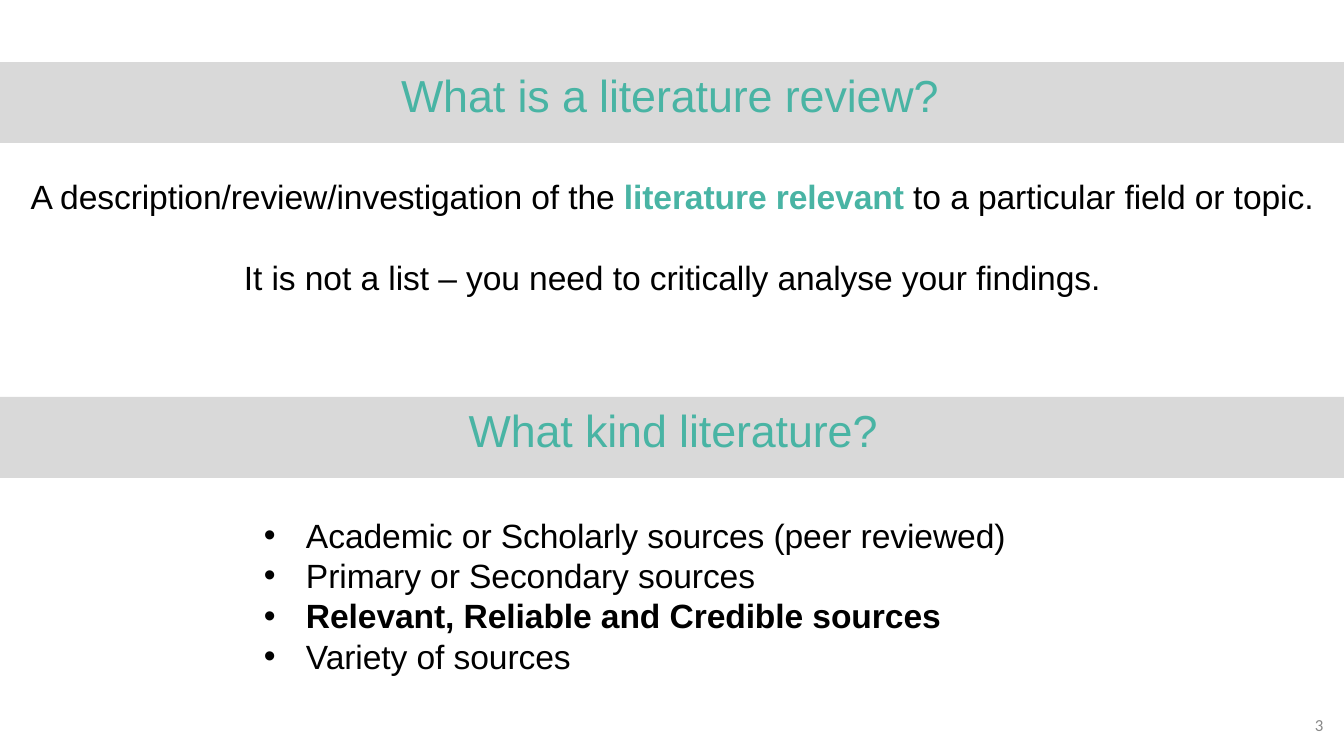
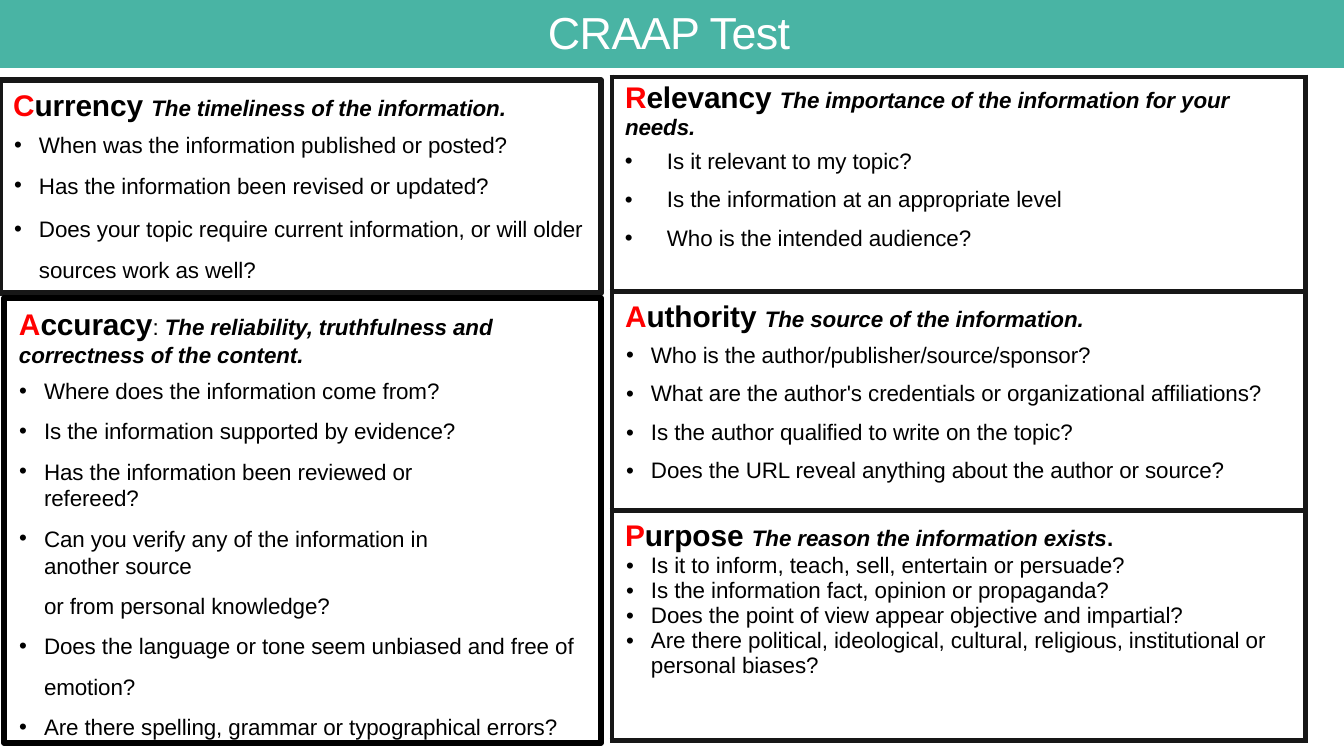
from dataclasses import dataclass, replace
from lxml import etree
from pptx import Presentation
from pptx import util as u
from pptx.dml.color import RGBColor
from pptx.enum import shapes, text
from pptx.oxml import ns

TEAL = RGBColor(0x49, 0xB4, 0xA4)
GREY = RGBColor(0xD9, 0xD9, 0xD9)
MUTED = RGBColor(0x88, 0x88, 0x88)
INK = RGBColor(0x17, 0x17, 0x17)
BLACK = RGBColor(0, 0, 0)
WHITE = RGBColor(0xFF, 0xFF, 0xFF)
RED = RGBColor(0xFF, 0, 0)

WIDTH, HEIGHT = 1344, 756
SCALE = 914400 / 134.4
BORDER = u.Pt(3)


def px(n):
    return u.Emu(round(n * SCALE))


@dataclass(frozen=True)
class Style:
    size: int
    color: RGBColor = BLACK
    bold: bool = False
    italic: bool = False
    spacing: int = -5
    font: str = "Arial"


TITLE = Style(24, TEAL)
BODY = Style(18)
BODY_BOLD = Style(18, bold=True)
KEYWORD = Style(18, TEAL, bold=True)
PAGE_NUMBER = Style(9, MUTED, spacing=0, font="Calibri")
INITIAL = Style(16, RED, bold=True)
CRITERION = Style(16, bold=True)
GIST = Style(12, bold=True, italic=True)
GIST_END = Style(12, bold=True)
QUESTION = Style(12)


@dataclass(frozen=True)
class Par:
    runs: tuple
    left: int = 0
    hang: int = 0
    right: int = 0
    before: float = 0
    line: object = None
    align: object = text.PP_ALIGN.LEFT


def heading(initial, rest, gist, left, before=0, joint=(), end=()):
    runs = ((initial, INITIAL), (rest, CRITERION), *joint, (gist, GIST), *end)
    return Par(runs, left, before=before)


def bullets(lines, style, left, hang, first=0, before=0):
    return [
        Par(((line, style),), left, hang, before=before if i else first)
        for i, line in enumerate(lines)
    ]


def write_run(p, words, style):
    r = p.add_run()
    r.text = words
    f = r.font
    f.name, f.size = style.font, u.Pt(style.size)
    f.bold, f.italic = style.bold, style.italic
    f.color.rgb = style.color
    if style.spacing:
        r._r.get_or_add_rPr().set("spc", str(style.spacing))


def write_text(tf, pars):
    tf.word_wrap = True
    for i, par in enumerate(pars):
        p = tf.paragraphs[0] if i == 0 else tf.add_paragraph()
        pPr = p._p.get_or_add_pPr()
        pPr.set("marL", str(px(par.left)))
        pPr.set("marR", str(px(par.right)))
        pPr.set("indent", str(px(-par.hang)))
        if par.hang:
            etree.SubElement(pPr, ns.qn("a:buFont")).set("typeface", "Arial")
            etree.SubElement(pPr, ns.qn("a:buChar")).set("char", "•")
        p.alignment = par.align
        if par.before:
            p.space_before = u.Pt(par.before)
        if par.line:
            p.line_spacing = par.line
        for words, style in par.runs:
            write_run(p, words, style)


def text_box(s, box, pars, top=1):
    tf = s.shapes.add_textbox(*map(px, box)).text_frame
    tf.margin_left = tf.margin_right = tf.margin_bottom = 0
    tf.margin_top = px(top)
    write_text(tf, pars)


def rectangle(s, box, fill=None, line=None):
    sp = s.shapes.add_shape(shapes.MSO_SHAPE.RECTANGLE, *map(px, box))
    sp.shadow.inherit = False
    if fill is None:
        sp.fill.background()
    else:
        sp.fill.solid()
        sp.fill.fore_color.rgb = fill
    if line is None:
        sp.line.fill.background()
    else:
        sp.line.color.rgb = line
        sp.line.width = BORDER


def title_band(s, top, height, fill):
    rectangle(s, (0, top, WIDTH, height), fill)


def title(s, box, words, style=TITLE):
    text_box(s, box, [Par(((words, style),), left=1)])


def border_cell(cell):
    tcPr = cell._tc.get_or_add_tcPr()
    for i, side in enumerate(("lnL", "lnR", "lnT", "lnB")):
        ln = etree.Element(ns.qn(f"a:{side}"), w=str(BORDER))
        fill = etree.SubElement(ln, ns.qn("a:solidFill"))
        etree.SubElement(fill, ns.qn("a:srgbClr")).set("val", str(INK))
        tcPr.insert(i, ln)


def criteria_table(s, box, rows):
    heights = [row[0] for row in rows]
    frame = s.shapes.add_table(len(rows), 1, *map(px, (*box, sum(heights))))
    table = frame.table
    table.first_row = table.horz_banding = False
    for i, (height, top, pars) in enumerate(rows):
        table.rows[i].height = px(height)
        cell = table.cell(i, 0)
        cell.fill.background()
        border_cell(cell)
        cell.margin_left = cell.margin_bottom = 0
        cell.margin_right = px(10)
        cell.margin_top = px(top)
        write_text(cell.text_frame, pars)


def definition_slide(s):
    center = text.PP_ALIGN.CENTER
    text_box(s, (1314, 714, 16, 24), [Par((("3", PAGE_NUMBER),), left=1)])
    title_band(s, 62, 81, GREY)
    title(s, (400, 67, 546, 58), "What is a literature review?")
    text_box(s, (24, 175, 1296, 125), [
        Par((
            ("A description/review/investigation of the ", BODY),
            ("literature relevant ", KEYWORD),
            ("to a particular field or topic.", BODY),
        ), align=center),
        Par((("It is not a list – you need to critically analyse your findings.", BODY),),
            before=22, align=center),
    ])
    title_band(s, 397, 81, GREY)
    kinds = bullets([
        "Academic or Scholarly sources (peer reviewed)",
        "Primary or Secondary sources",
        "Relevant, Reliable and Credible sources",
        "Variety of sources",
    ], BODY, 44, 42, first=31)
    kinds[2] = replace(kinds[2], runs=((kinds[2].runs[0][0], BODY_BOLD),))
    text_box(s, (262, 402, 749, 277), [
        Par((("What kind literature?", TITLE),), left=73, align=center), *kinds,
    ])


def currency():
    pars = bullets([
        "When was the information published or posted?",
        "Has the information been revised or updated?",
        "Does your topic require current information, or will older sources work as well?",
    ], QUESTION, 27, 25, first=4.6, before=7.2)
    pars[2] = replace(pars[2], before=1.9, line=u.Pt(21.6))
    return [heading("C", "urrency ", "The timeliness of the information.", 1), *pars]


def accuracy():
    pars = bullets([
        "Where does the information come from?",
        "Is the information supported by evidence?",
        "Has the information been reviewed or refereed?",
        "Can you verify any of the information in another source",
        "or from personal knowledge?",
        "Does the language or tone seem unbiased and free of emotion?",
        "Are there spelling, grammar or typographical errors?",
    ], QUESTION, 32, 25, first=4.6, before=7.2)
    pars[2:4] = [replace(par, right=130) for par in pars[2:4]]
    pars[4] = replace(pars[4], hang=0)
    pars[5] = replace(pars[5], before=0, line=1.5)
    return [
        heading("A", "ccuracy", "The reliability, truthfulness and correctness of the content.",
                7, before=12.3, joint=((": ", QUESTION),)),
        *pars,
    ]


def relevancy():
    return [
        heading("R", "elevancy ", "The importance of the information for your needs.", 13),
        *bullets([
            "Is it relevant to my topic?",
            "Is the information at an appropriate level",
            "Who is the intended audience?",
        ], QUESTION, 55, 42, first=4.5, before=7.2),
    ]


def authority():
    return [
        heading("A", "uthority ", "The source of the information.", 13),
        *bullets([
            "Who is the author/publisher/source/sponsor?",
            "What are the author's credentials or organizational affiliations?",
            "Is the author qualified to write on the topic?",
            "Does the URL reveal anything about the author or source?",
        ], QUESTION, 39, 25, first=4.6, before=7.2),
    ]


def purpose():
    return [
        heading("P", "urpose ", "The reason the information exists", 13,
                end=((".", GIST_END),)),
        *bullets([
            "Is it to inform, teach, sell, entertain or persuade?",
            "Is the information fact, opinion or propaganda?",
            "Does the point of view appear objective and impartial?",
            "Are there political, ideological, cultural, religious, institutional or personal biases?",
        ], QUESTION, 39, 25),
    ]


def craap_slide(s):
    title_band(s, 0, 68, TEAL)
    title(s, (547, 4, 256, 58), "CRAAP Test", replace(TITLE, color=WHITE, spacing=-30))
    rectangle(s, (0, 80, 601, 213), line=INK)
    criteria_table(s, (612, 77, 694), [
        (215, 5, relevancy()),
        (219, 9, authority()),
        (230, 9, purpose()),
    ])
    rectangle(s, (4, 298, 597, 445), line=BLACK)
    text_box(s, (12, 73, 577, 614), [*currency(), *accuracy()], top=14)


def main():
    prs = Presentation()
    prs.slide_width, prs.slide_height = px(WIDTH), px(HEIGHT)
    for build in (definition_slide, craap_slide):
        build(prs.slides.add_slide(prs.slide_layouts[6]))
    prs.save("out.pptx")


if __name__ == "__main__":
    main()
